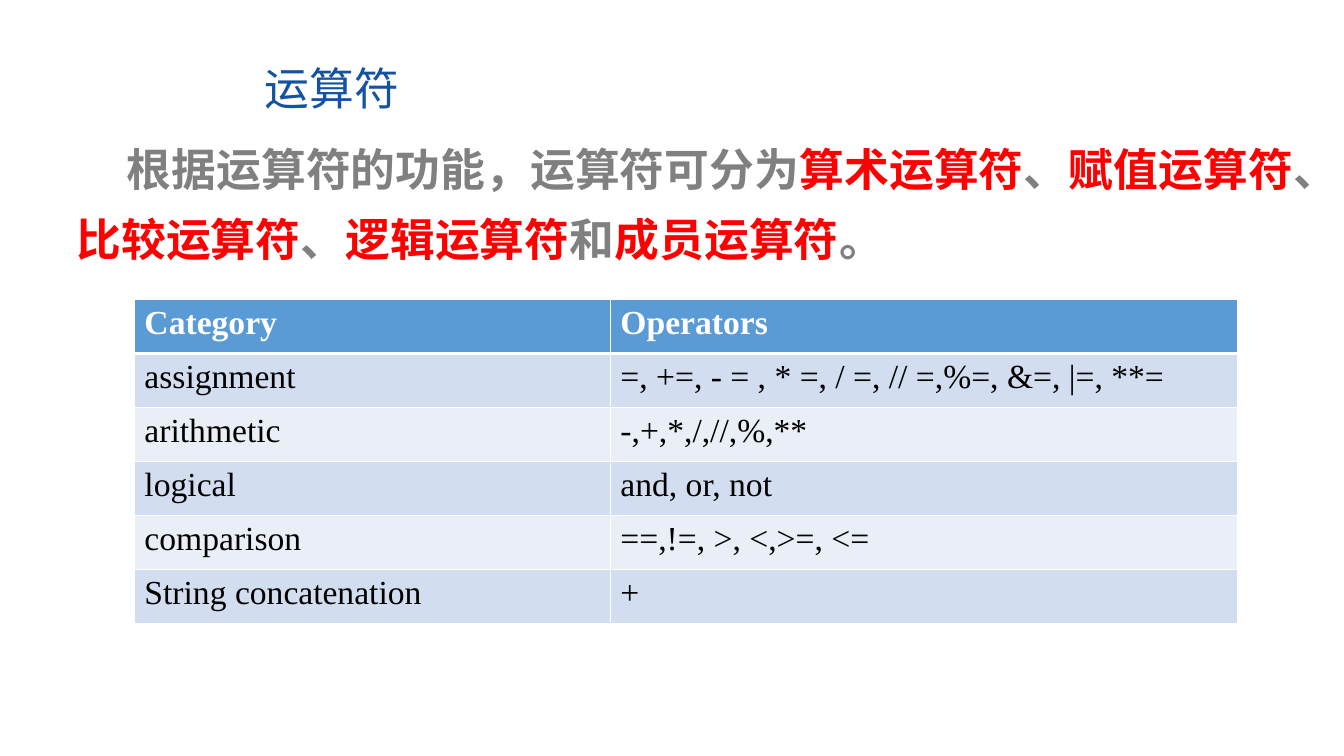
from pptx import Presentation
from pptx.dml.color import RGBColor
from pptx.enum import text
from pptx.oxml import parse_xml
from pptx.oxml.ns import nsdecls
from pptx.util import Pt

CJK, LATIN = "Noto Sans CJK SC", "Times New Roman"
BLUE, GREY, RED, WHITE, BLACK = "1353A2", "808080", "FF0000", "FFFFFF", "000000"
HEADER_FILL, BAND_FILLS = "5B9BD5", ("D2DEEF", "EAEFF7")

SUMMARY = [
    ("根据运算符的功能，运算符可分为", GREY), ("算术运算符", RED), ("、", GREY),
    ("赋值运算符", RED), ("、", GREY), ("比较运算符", RED), ("、", GREY),
    ("逻辑运算符", RED), ("和", GREY), ("成员运算符", RED), ("。", GREY),
]
OPERATORS = [
    ("Category", "Operators"),
    ("assignment", "=, +=, - = , * =, / =, // =,%=, &=, |=, **="),
    ("arithmetic", "-,+,*,/,//,%,**"),
    ("logical", "and, or, not"),
    ("comparison", "==,!=, >, <,>=, <="),
    ("String concatenation", "+"),
]


def rgb(color):
    return RGBColor.from_string(color)


def format_run(r, size, color, font, bold=False):
    """Format a run, using the font for Latin and East Asian text alike."""
    r.font.size = Pt(size)
    r.font.bold = bold
    r.font.color.rgb = rgb(color)
    r.font.name = font
    r.font._element.get_or_add_latin().addnext(
        parse_xml(f'<a:ea {nsdecls("a")} typeface="{font}"/>'))


def add_title(slide, title):
    sp = slide.shapes.title
    sp.left, sp.top, sp.width, sp.height = Pt(182), Pt(44), Pt(548), Pt(42)
    tf = sp.text_frame
    tf.text = title
    tf.vertical_anchor = text.MSO_ANCHOR.MIDDLE
    p = tf.paragraphs[0]
    p.alignment = text.PP_ALIGN.LEFT
    p.line_spacing = 0.9
    format_run(p.runs[0], 32, BLUE, CJK)


def add_summary(slide, pieces):
    sp = slide.shapes.add_textbox(Pt(47.5), Pt(86.4), Pt(885), Pt(108))
    tf = sp.text_frame
    tf.word_wrap = True
    p = tf.paragraphs[0]
    p.line_spacing = 1.3
    p._p.get_or_add_pPr().set("indent", str(Pt(36)))
    for words, color in pieces:
        r = p.add_run()
        r.text = words
        format_run(r, 32, color, CJK, bold=True)


def set_borders(cell, widths):
    """Draw white borders, with widths in points by side."""
    tc_pr = cell._tc.get_or_add_tcPr()
    for side, width in widths.items():
        tc_pr.append(parse_xml(
            f'<a:ln{side} {nsdecls("a")} w="{Pt(width)}"><a:solidFill>'
            f'<a:srgbClr val="{WHITE}"/></a:solidFill></a:ln{side}>'))


def add_operator_table(slide, rows):
    row_height = Pt(38.6)
    frame = slide.shapes.add_table(
        len(rows), 2, Pt(96), Pt(214), Pt(788), row_height * len(rows))
    table = frame.table
    for column, width in zip(table.columns, (340, 448)):
        column.width = Pt(width)
    for i, values in enumerate(rows):
        table.rows[i].height = row_height
        header = i == 0
        fill = HEADER_FILL if header else BAND_FILLS[(i - 1) % 2]
        for j, value in enumerate(values):
            cell = table.cell(i, j)
            set_borders(cell, {"L": 1, "R": 1, "T": 3 if i == 1 else 1,
                               "B": 3 if header else 1})
            cell.fill.solid()
            cell.fill.fore_color.rgb = rgb(fill)
            cell.text_frame.text = value
            format_run(cell.text_frame.paragraphs[0].runs[0], 24,
                       WHITE if header else BLACK, LATIN, bold=header)


def main():
    prs = Presentation()
    prs.slide_width, prs.slide_height = Pt(960), Pt(540)
    slide = prs.slides.add_slide(prs.slide_layouts[5])
    add_title(slide, "运算符")
    add_summary(slide, SUMMARY)
    add_operator_table(slide, OPERATORS)
    prs.save("out.pptx")


if __name__ == "__main__":
    main()
